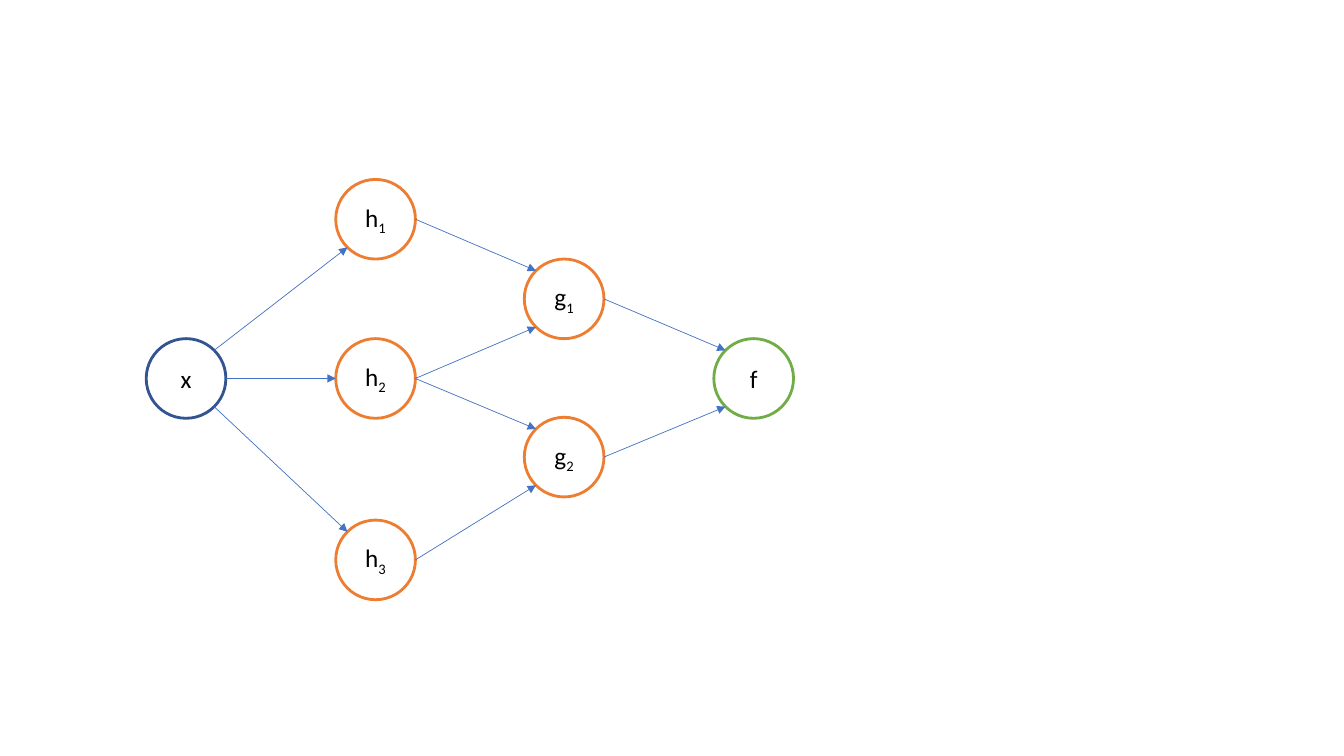
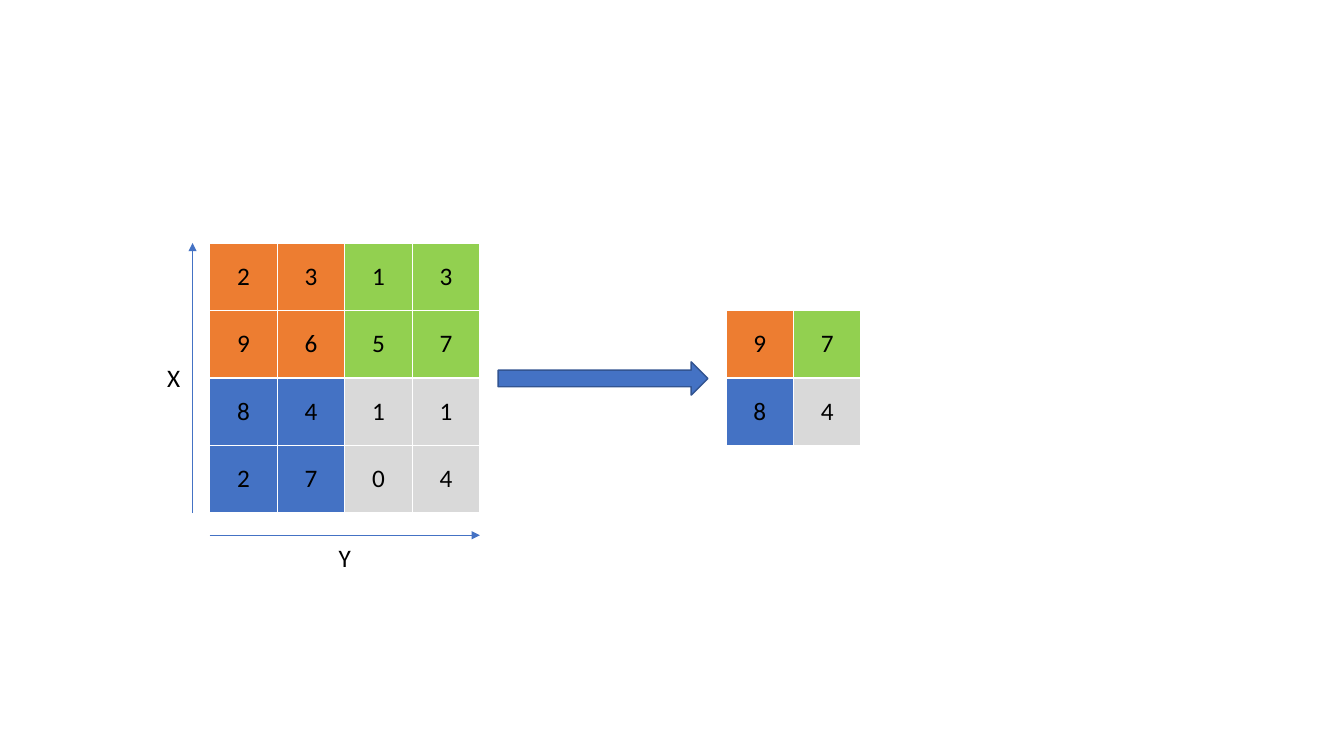
from math import cos, radians, sin

from lxml.etree import SubElement
from pptx import Presentation
from pptx.dml.color import RGBColor
from pptx.enum.shapes import MSO_CONNECTOR, MSO_SHAPE
from pptx.enum.text import MSO_ANCHOR, MSO_AUTO_SIZE, PP_ALIGN
from pptx.oxml.ns import qn
from pptx.util import Inches, Pt

COLORS = {
    "text": "000000", "white": "FFFFFF", "blue": "4472C4", "navy": "325491",
    "orange": "ED7D31", "green": "70AD47", "lime": "92D050", "gray": "D9D9D9",
}
FONT = "Calibri"

# Network: name -> (letter, subscript, left, top, outline)
NODE_SIZE = 0.79
NODES = {
    "x": ("x", "", 1.45, 3.36, "navy"),
    "h1": ("h", "1", 3.33, 1.78, "orange"),
    "h2": ("h", "2", 3.33, 3.36, "orange"),
    "h3": ("h", "3", 3.33, 5.16, "orange"),
    "g1": ("g", "1", 5.2, 2.57, "orange"),
    "g2": ("g", "2", 5.2, 4.14, "orange"),
    "f": ("f", "", 7.08, 3.36, "green"),
}
# Edges: start node, angle on its rim, end node, angle on its rim
EDGES = [
    ("x", 45, "h1", 225), ("x", 0, "h2", 180), ("x", -45, "h3", 135),
    ("h1", 0, "g1", 135), ("h2", 0, "g1", 225), ("h2", 0, "g2", 135),
    ("h3", 0, "g2", 225), ("g1", 0, "f", 135), ("g2", 0, "f", 225),
]

# Max pooling: each quadrant of the input becomes one output cell
CELL = 0.67
MATRIX = [[2, 3, 1, 3], [9, 6, 5, 7], [8, 4, 1, 1], [2, 7, 0, 4]]
QUADRANTS = [["orange", "lime"], ["blue", "gray"]]
MATRIX_AT = (2.08, 2.41)
POOLED_AT = (7.2, 3.08)
AXIS_LABELS = [("X", 1.56, 3.55, 0.33), ("Y", 3.26, 5.33, 0.32)]


def rgb(name):
    return RGBColor.from_string(COLORS[name])


def write(tf, text, sub="", size=18, color="text", align=PP_ALIGN.CENTER):
    p = tf.paragraphs[0]
    p.alignment = align
    for part in filter(None, (text, sub)):
        r = p.add_run()
        r.text = part
        r.font.name = FONT
        r.font.size = Pt(size)
        r.font.color.rgb = rgb(color)
    if sub:
        r.font._element.set("baseline", "-25000")


def add_shape(s, kind, left, top, width, height, line, weight, fill=None):
    sp = s.shapes.add_shape(kind, *map(Inches, (left, top, width, height)))
    sp.shadow.inherit = False
    if fill:
        sp.fill.solid()
        sp.fill.fore_color.rgb = rgb(fill)
    else:
        sp.fill.background()
    sp.line.color.rgb = rgb(line)
    sp.line.width = Pt(weight)
    return sp


def add_arrow(s, start, end):
    arrow = s.shapes.add_connector(MSO_CONNECTOR.STRAIGHT, *map(Inches, (*start, *end)))
    arrow.line.color.rgb = rgb("blue")
    arrow.line.width = Pt(0.5)
    SubElement(arrow.get_or_add_ln(), qn("a:tailEnd"), type="triangle")
    SubElement(arrow._element.spPr, qn("a:effectLst"))


def rim_point(name, angle):
    left, top = NODES[name][2:4]
    radius = NODE_SIZE / 2
    return (left + radius + radius * cos(radians(angle)),
            top + radius - radius * sin(radians(angle)))


def add_borders(cell):
    tcPr = cell._tc.get_or_add_tcPr()
    for side in ("lnL", "lnR", "lnT", "lnB"):
        ln = SubElement(tcPr, qn(f"a:{side}"), w=str(int(Pt(1))))
        fill = SubElement(ln, qn("a:solidFill"))
        SubElement(fill, qn("a:srgbClr"), val=COLORS["white"])


def add_matrix(s, values, at):
    n = len(values)
    side = Inches(CELL * n)
    table = s.shapes.add_table(n, n, *map(Inches, at), side, side).table
    table.first_row = table.horz_banding = False
    for i in range(n):
        table.columns[i].width = table.rows[i].height = Inches(CELL)
    for r, row in enumerate(values):
        for c, value in enumerate(row):
            cell = table.cell(r, c)
            add_borders(cell)
            cell.fill.solid()
            cell.fill.fore_color.rgb = rgb(QUADRANTS[2 * r // n][2 * c // n])
            cell.vertical_anchor = MSO_ANCHOR.MIDDLE
            write(cell.text_frame, str(value))


def pool_max(values):
    return [[max(values[r + i][c + j] for i in (0, 1) for j in (0, 1))
             for c in range(0, len(values), 2)] for r in range(0, len(values), 2)]


def build_network(s):
    for letter, sub, left, top, outline in NODES.values():
        sp = add_shape(s, MSO_SHAPE.FLOWCHART_CONNECTOR, left, top,
                       NODE_SIZE, NODE_SIZE, outline, 2)
        sp.text_frame.vertical_anchor = MSO_ANCHOR.MIDDLE
        write(sp.text_frame, letter, sub=sub)
    for start, start_angle, end, end_angle in EDGES:
        add_arrow(s, rim_point(start, start_angle), rim_point(end, end_angle))


def build_pooling(s):
    add_matrix(s, MATRIX, MATRIX_AT)
    add_matrix(s, pool_max(MATRIX), POOLED_AT)

    # Axes beside and below the input
    left, top = MATRIX_AT
    side = CELL * len(MATRIX)
    add_arrow(s, (left - 0.17, top + side), (left - 0.17, top))
    add_arrow(s, (left, top + side + 0.22), (left + side, top + side + 0.22))
    for text, x, y, width in AXIS_LABELS:
        tf = s.shapes.add_textbox(*map(Inches, (x, y, width, 0.4))).text_frame
        tf.word_wrap = False
        tf.auto_size = MSO_AUTO_SIZE.SHAPE_TO_FIT_TEXT
        write(tf, text, align=PP_ALIGN.LEFT)

    # Block arrow from input to output
    add_shape(s, MSO_SHAPE.RIGHT_ARROW, 4.94, 3.59, 2.08, 0.33, "navy", 1, fill="blue")


def main():
    prs = Presentation()
    prs.slide_width, prs.slide_height = Inches(13.33), Inches(7.5)
    for build in (build_network, build_pooling):
        build(prs.slides.add_slide(prs.slide_layouts[6]))
    prs.save("out.pptx")


if __name__ == "__main__":
    main()
